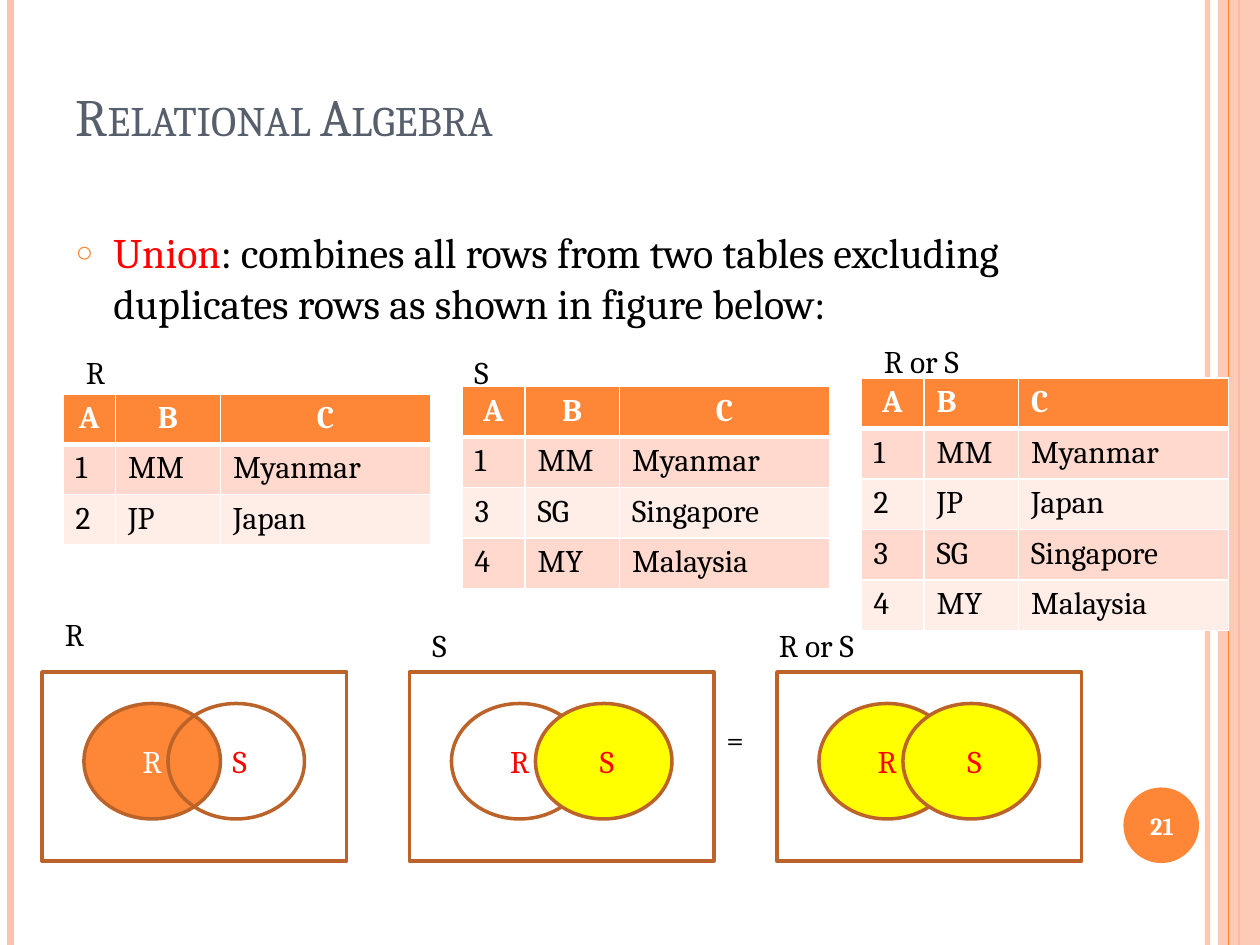
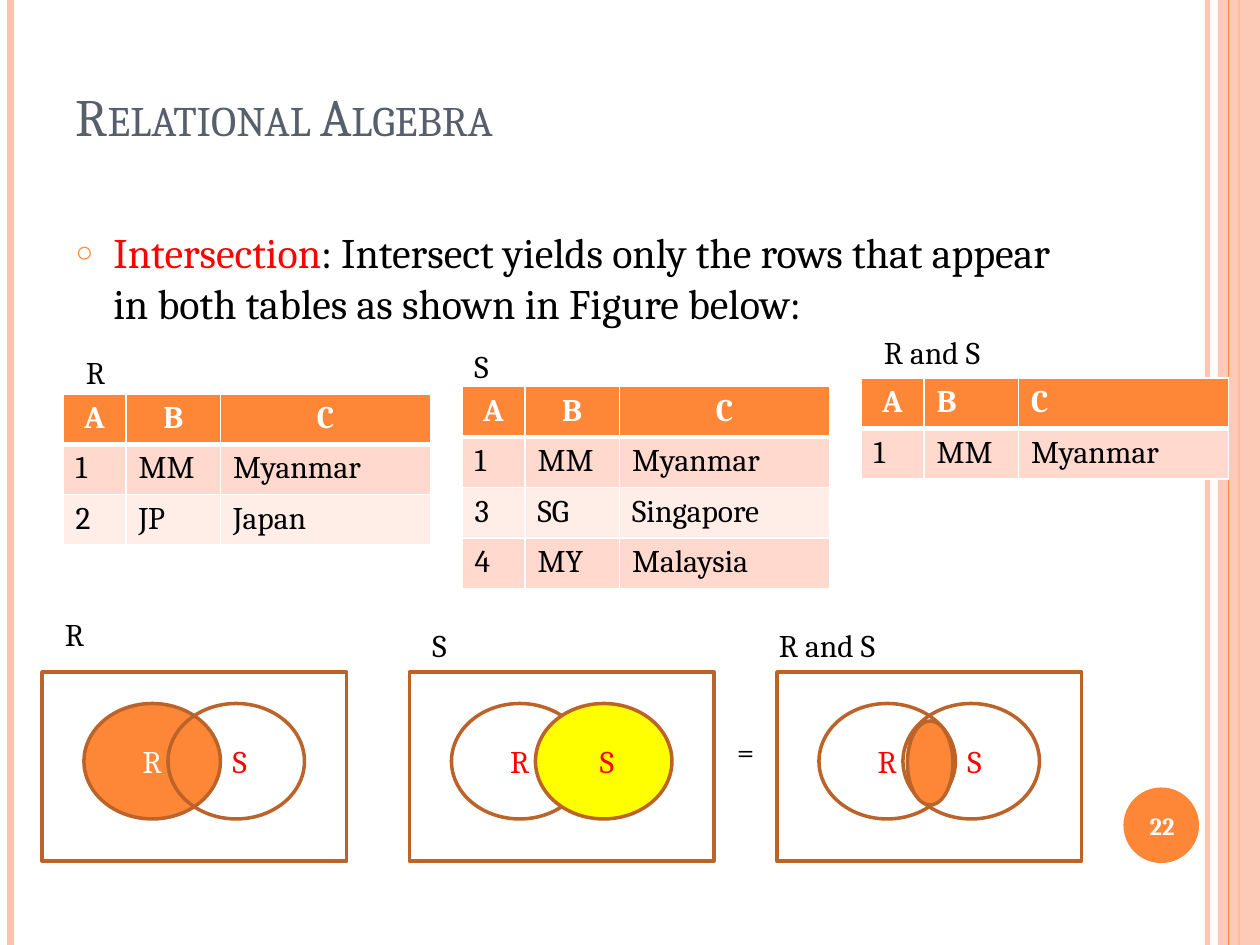
from collections import namedtuple
from dataclasses import dataclass

from lxml.etree import SubElement
from pptx import Presentation
from pptx.dml.color import RGBColor
from pptx.enum.shapes import MSO_CONNECTOR, MSO_SHAPE
from pptx.enum.text import MSO_ANCHOR, MSO_AUTO_SIZE, PP_ALIGN
from pptx.oxml.ns import qn
from pptx.util import Pt


@dataclass(frozen=True)
class Theme:
    font: str = "Cambria"
    title_size: int = 30
    body_size: int = 24
    label_size: int = 18
    number_size: int = 14
    white: str = "FFFFFF"
    black: str = "000000"
    slate: str = "575F6D"
    orange: str = "FE8637"
    peach: str = "FEC3AE"
    brown: str = "BC6329"
    red: str = "FF0000"
    yellow: str = "FFFF00"
    row_fills: tuple = ("FFD9CE", "FFEDE8")


THEME = Theme()
Box = namedtuple("Box", "left top width height")
WIDTH, HEIGHT = 720, 540
HEADER = ("A", "B", "C")
MYANMAR, JAPAN = ("1", "MM", "Myanmar"), ("2", "JP", "Japan")
SINGAPORE, MALAYSIA = ("3", "SG", "Singapore"), ("4", "MY", "Malaysia")
TABLE_R = (MYANMAR, JAPAN)
TABLE_S = (MYANMAR, SINGAPORE, MALAYSIA)
TABLE_LEFT, TABLE_PITCH, TABLE_TOPS = 36, 228, (225, 221, 216)
VENN_TOP, VENN_LEFT, VENN_PITCH = 384, 24, 210
NARROW_A, EVEN_COLUMNS = (30, 60, 120), (36, 54, 120)


def apply(target, values):
    for name, value in values.items():
        setattr(target, name, value)


def points(values):
    return [Pt(value) for value in values]


def place(shape, box):
    apply(shape, dict(zip(box._fields, points(box))))


def write(para, text, size, color, bold=False):
    span = para.add_run()
    span.text = text
    apply(span.font, {"name": THEME.font, "size": Pt(size), "bold": bold})
    span.font.color.rgb = RGBColor.from_string(color)
    return span


def paint(fill, color, alpha=100):
    """Fill with a colour, or leave see-through when there is none."""
    if color is None:
        fill.background()
        return
    fill.solid()
    fill.fore_color.rgb = RGBColor.from_string(color)
    if alpha < 100:
        fill_color = fill._xPr.find(qn("a:solidFill"))[0]
        SubElement(fill_color, qn("a:alpha"), val=str(alpha * 1000))


def add_figure(page, kind, box, color=None, line=None, alpha=100):
    figure = page.shapes.add_shape(kind, *points(box))
    figure.shadow.inherit = False
    paint(figure.fill, color, alpha)
    paint(figure.line.fill, line)
    if line:
        figure.line.width = Pt(2)
    return figure


def add_upright(page, x, width, color, alpha=100):
    upright = page.shapes.add_connector(MSO_CONNECTOR.STRAIGHT, *points((x, 0, x, HEIGHT)))
    upright.line.width = Pt(width)
    paint(upright.line.fill, color, alpha)
    SubElement(upright.element.spPr, qn("a:effectLst"))
    return upright


def add_label(page, box, text):
    label = page.shapes.add_textbox(*points(box))
    label.text_frame.word_wrap = True
    write(label.text_frame.paragraphs[0], text, THEME.label_size, THEME.black)


def decorate_layout(layout, page):
    """Draw the side bands and number disc, then hand them to the layout."""
    parts = [
        add_upright(page, 690, 3, THEME.peach, 93),
        add_upright(page, 6, 4.5, THEME.peach),
        add_upright(page, 708, 1.5, THEME.orange),
        add_figure(page, MSO_SHAPE.RECTANGLE, Box(696, 0, 24, HEIGHT), THEME.peach, alpha=87),
        add_upright(page, 702, 0.75, THEME.orange),
        add_figure(page, MSO_SHAPE.OVAL, Box(642, 450, 43.2, 43.2), THEME.orange),
    ]
    for number, part in enumerate(parts, 101):
        part.element.xpath(".//p:cNvPr")[0].set("id", str(number))
        layout.shapes.element.append(part.element)


def fill_title(page, text):
    title = page.shapes.title
    place(title, Box(36, 30, 588, 57.6))
    apply(title.text_frame, {"vertical_anchor": MSO_ANCHOR.BOTTOM,
                             "auto_size": MSO_AUTO_SIZE.NONE})
    para = title.text_frame.paragraphs[0]
    para.alignment = PP_ALIGN.LEFT
    span = write(para, text, THEME.title_size, THEME.slate)
    span.font._element.set("cap", "small")


def fill_body(page, width, term, definition):
    body = page.placeholders[1]
    place(body, Box(36, 126, width, 384))
    body.text_frame.auto_size = MSO_AUTO_SIZE.NONE
    para = body.text_frame.paragraphs[0]
    para.space_before = Pt(6)
    bullet = para._p.get_or_add_pPr()
    bullet.set("marL", str(Pt(21.6)))
    bullet.set("indent", str(-Pt(21.6)))
    SubElement(SubElement(bullet, qn("a:buClr")), qn("a:srgbClr"), val=THEME.orange)
    SubElement(bullet, qn("a:buSzPct"), val="70000")
    SubElement(bullet, qn("a:buChar"), char="○")
    write(para, term, THEME.body_size, THEME.red)
    write(para, definition, THEME.body_size, THEME.black)


def add_number(page, number):
    label = page.shapes.add_textbox(*points((640, 451.5, 48, 41)))
    apply(label.text_frame, {"word_wrap": True, "vertical_anchor": MSO_ANCHOR.MIDDLE})
    para = label.text_frame.paragraphs[0]
    para.alignment = PP_ALIGN.CENTER
    write(para, str(number), THEME.number_size, THEME.white, bold=True)


def add_borders(cell, top, bottom):
    properties = cell._tc.get_or_add_tcPr()
    for side, width in {"L": 1, "R": 1, "T": top, "B": bottom}.items():
        border = SubElement(properties, qn(f"a:ln{side}"), w=str(Pt(width)))
        SubElement(SubElement(border, qn("a:solidFill")), qn("a:srgbClr"), val=THEME.white)


def add_relation(page, left, top, columns, rows, row_height, centred):
    """Add a table whose first `centred` header cells are centred."""
    grid = (HEADER, *rows)
    box = Box(left, top, sum(columns), row_height * len(grid))
    table = page.shapes.add_table(len(grid), len(columns), *points(box)).table
    for column, width in zip(table.columns, columns):
        column.width = Pt(width)
    for r, values in enumerate(grid):
        table.rows[r].height = Pt(row_height)
        is_header = r == 0
        fill = THEME.orange if is_header else THEME.row_fills[(r - 1) % 2]
        for c, value in enumerate(values):
            cell = table.cell(r, c)
            add_borders(cell, 3 if r == 1 else 1, 3 if is_header else 1)
            paint(cell.fill, fill)
            para = cell.text_frame.paragraphs[0]
            if is_header and c < centred:
                para.alignment = PP_ALIGN.CENTER
            color = THEME.white if is_header else THEME.black
            write(para, value, THEME.label_size, color, bold=is_header)


def add_venn(page, left, fills, r_color=THEME.red, lens=False):
    add_figure(page, MSO_SHAPE.RECTANGLE, Box(left, VENN_TOP, 174, 108), line=THEME.brown)
    circles = zip(("R", " S"), (24, 72), fills, (r_color, THEME.red))
    for name, offset, fill, color in circles:
        circle = add_figure(page, MSO_SHAPE.OVAL, Box(left + offset, VENN_TOP + 18, 78, 66),
                            fill, THEME.brown)
        circle.text_frame.vertical_anchor = MSO_ANCHOR.MIDDLE
        para = circle.text_frame.paragraphs[0]
        para.alignment = PP_ALIGN.CENTER
        write(para, name, THEME.label_size, color)
    if lens:
        add_figure(page, MSO_SHAPE.OVAL, Box(left + 74.5, VENN_TOP + 28, 26, 48),
                   THEME.orange, THEME.brown)


def add_operation(page, operation):
    """Fill a page with one set operation: definition, tables and diagrams."""
    fill_title(page, "Relational Algebra")
    fill_body(page, operation["body_width"], operation["term"], operation["definition"])
    add_number(page, operation["number"])

    relations = zip(operation["columns"], (TABLE_R, TABLE_S, operation["result"]), (3, 3, 1))
    for i, (columns, rows, centred) in enumerate(relations):
        add_relation(page, TABLE_LEFT + i * TABLE_PITCH, TABLE_TOPS[i], columns, rows,
                     operation["row_height"], centred)

    diagrams = (((THEME.orange, None), THEME.white, False),
                ((None, THEME.yellow), THEME.red, False),
                (operation["result_fills"], THEME.red, operation["lens"]))
    for i, diagram in enumerate(diagrams):
        add_venn(page, VENN_LEFT + i * VENN_PITCH, *diagram)

    names = ("R", "S", operation["result_name"])
    table_labels = zip((42, 264, 498), operation["label_tops"], (48, 36, 90))
    venn_labels = zip((30, 240, 438), (348, 354, 354), (36, 36, 120))
    for labels in (table_labels, venn_labels):
        for name, (left, top, width) in zip(names, labels):
            add_label(page, Box(left, top, width, 29), name)
    add_label(page, Box(*operation["equals_at"], 18, 29), "=")


OPERATIONS = (
    {
        "number": 21, "term": "Union", "body_width": 624,
        "definition": ": combines all rows from two tables excluding "
                      "duplicates rows as shown in figure below:",
        "columns": (NARROW_A, EVEN_COLUMNS, EVEN_COLUMNS), "row_height": 28,
        "result": (MYANMAR, JAPAN, SINGAPORE, MALAYSIA), "result_name": "R or S",
        "result_fills": (THEME.yellow, THEME.yellow), "lens": False,
        "label_tops": (198, 198, 192), "equals_at": (408, 408),
    },
    {
        "number": 22, "term": "Intersection", "body_width": 588,
        "definition": ": Intersect yields only the rows that appear "
                      "in both tables as shown in Figure below:",
        "columns": (EVEN_COLUMNS,) * 3, "row_height": 28.8,
        "result": (MYANMAR,), "result_name": "R and S",
        "result_fills": (None, None), "lens": True,
        "label_tops": (198, 195, 187), "equals_at": (414, 415),
    },
)


def main():
    deck = Presentation()
    apply(deck, {"slide_width": Pt(WIDTH), "slide_height": Pt(HEIGHT)})
    layout = deck.slide_layouts.get_by_name("Title and Content")
    pages = [deck.slides.add_slide(layout) for _ in OPERATIONS]
    decorate_layout(layout, pages[0])
    for page, operation in zip(pages, OPERATIONS):
        add_operation(page, operation)
    deck.save("out.pptx")


if __name__ == "__main__":
    main()
